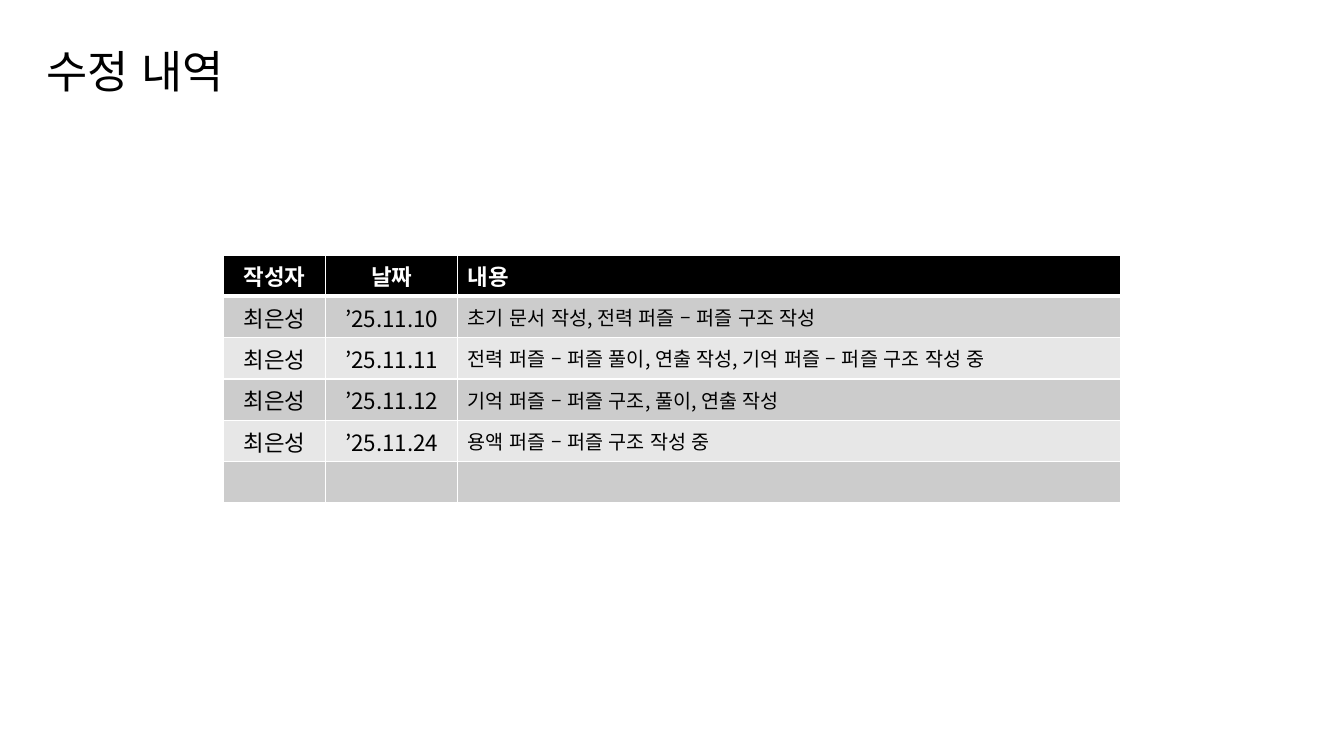
from lxml.etree import SubElement
from pptx import Presentation
from pptx.dml.color import RGBColor
from pptx.enum.lang import MSO_LANGUAGE_ID
from pptx.enum.text import MSO_ANCHOR, PP_ALIGN
from pptx.oxml.ns import qn
from pptx.util import Inches, Pt

BLACK = RGBColor(0x00, 0x00, 0x00)
WHITE = RGBColor(0xFF, 0xFF, 0xFF)
DARK_BAND = RGBColor(0xCC, 0xCC, 0xCC)
LIGHT_BAND = RGBColor(0xE7, 0xE7, 0xE7)
FONT = "Noto Sans CJK KR"

COLUMN_WIDTHS = [1.01, 1.31, 6.57]
ROW_HEIGHT = 0.41
REVISIONS = [
    ("작성자", "날짜", "내용"),
    ("최은성", "’25.11.10", "초기 문서 작성, 전력 퍼즐 – 퍼즐 구조 작성"),
    ("최은성", "’25.11.11", "전력 퍼즐 – 퍼즐 풀이, 연출 작성, 기억 퍼즐 – 퍼즐 구조 작성 중"),
    ("최은성", "’25.11.12", "기억 퍼즐 – 퍼즐 구조, 풀이, 연출 작성"),
    ("최은성", "’25.11.24", "용액 퍼즐 – 퍼즐 구조 작성 중"),
    ("", "", ""),
]


def write_text(frame, text, size=16, color=BLACK, bold=False,
               align=PP_ALIGN.LEFT, line_spacing=None):
    paragraph = frame.paragraphs[0]
    paragraph.alignment = align
    paragraph.line_spacing = line_spacing
    if not text:
        return
    run = paragraph.add_run()
    run.text = text
    run.font.size = Pt(size)
    run.font.bold = bold
    run.font.color.rgb = color
    run.font.name = FONT
    run.font.language_id = MSO_LANGUAGE_ID.KOREAN
    SubElement(run.font._element, qn("a:ea"), typeface=FONT)


def add_borders(cell, top=1, bottom=1):
    properties = cell._tc.get_or_add_tcPr()
    for side, width in (("L", 1), ("R", 1), ("T", top), ("B", bottom)):
        line = SubElement(properties, qn(f"a:ln{side}"), w=str(Pt(width)))
        fill = SubElement(line, qn("a:solidFill"))
        SubElement(fill, qn("a:srgbClr"), val=str(WHITE))


def add_title(slide, left, top, width, height):
    title = slide.shapes.add_textbox(
        Inches(left), Inches(top), Inches(width), Inches(height))
    frame = title.text_frame
    frame.word_wrap = True
    frame.vertical_anchor = MSO_ANCHOR.MIDDLE
    write_text(frame, "수정 내역", size=32, line_spacing=0.9)


def add_revision_table(slide, left, top, width, height):
    table = slide.shapes.add_table(
        len(REVISIONS), len(COLUMN_WIDTHS),
        Inches(left), Inches(top), Inches(width), Inches(height)).table
    for column, column_width in zip(table.columns, COLUMN_WIDTHS):
        column.width = Inches(column_width)
    for row_index, revision in enumerate(REVISIONS):
        table.rows[row_index].height = Inches(ROW_HEIGHT)
        header = row_index == 0
        band = BLACK if header else DARK_BAND if row_index % 2 else LIGHT_BAND
        for column_index, text in enumerate(revision):
            cell = table.cell(row_index, column_index)
            details = column_index == 2
            add_borders(cell, top=3 if row_index == 1 else 1,
                        bottom=3 if header else 1)
            cell.fill.solid()
            cell.fill.fore_color.rgb = band
            cell.vertical_anchor = MSO_ANCHOR.TOP if header else MSO_ANCHOR.MIDDLE
            write_text(cell.text_frame, text,
                       size=14 if details and not header else 16,
                       color=WHITE if header else BLACK, bold=header,
                       align=PP_ALIGN.LEFT if details else PP_ALIGN.CENTER)


def main():
    presentation = Presentation()
    presentation.slide_width = Inches(13.33)
    presentation.slide_height = Inches(7.5)
    slide = presentation.slides.add_slide(presentation.slide_layouts[6])
    add_title(slide, 0.36, 0.32, 11.5, 0.83)
    add_revision_table(slide, 2.22, 2.53, sum(COLUMN_WIDTHS),
                       ROW_HEIGHT * len(REVISIONS))
    presentation.save("out.pptx")


if __name__ == "__main__":
    main()
